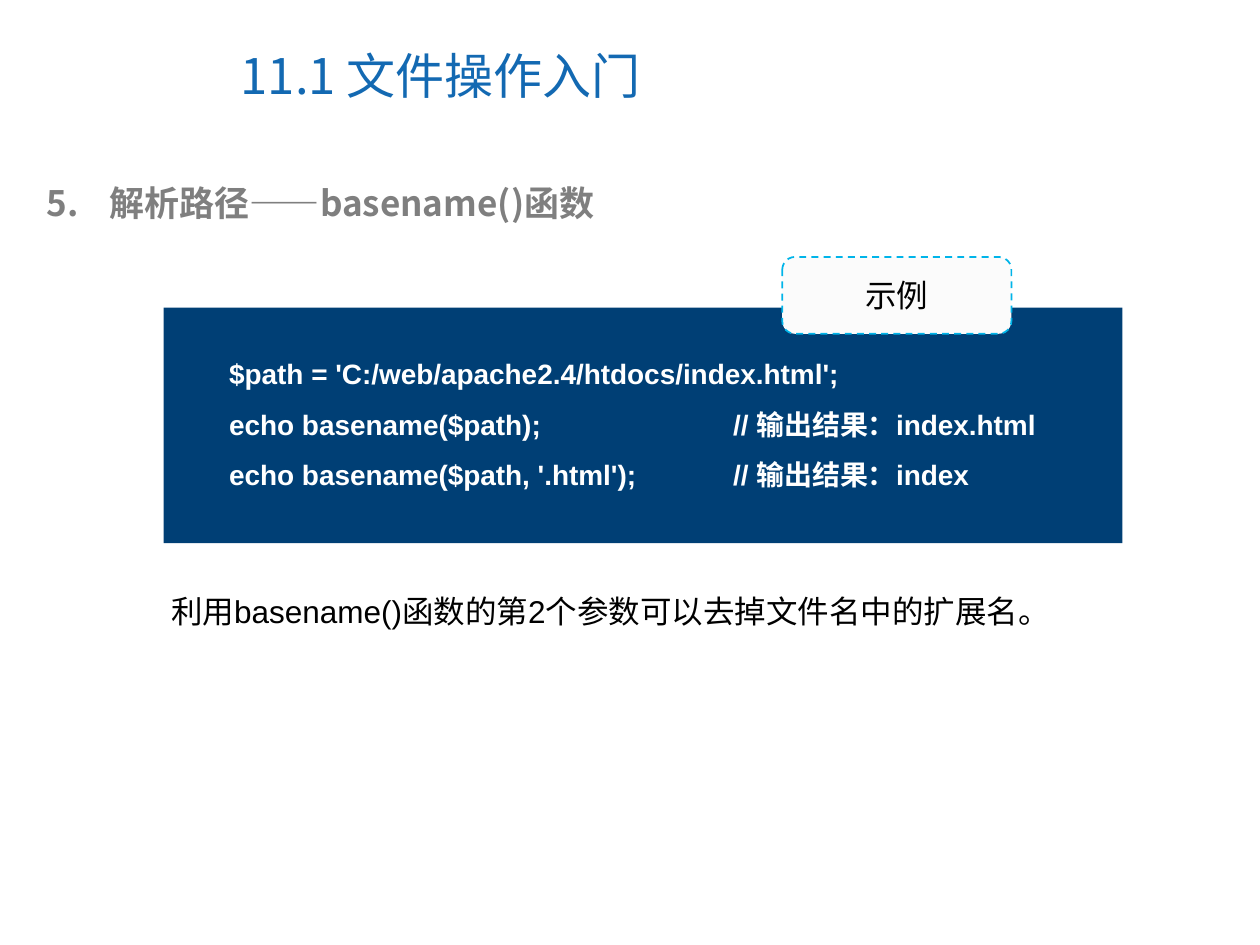
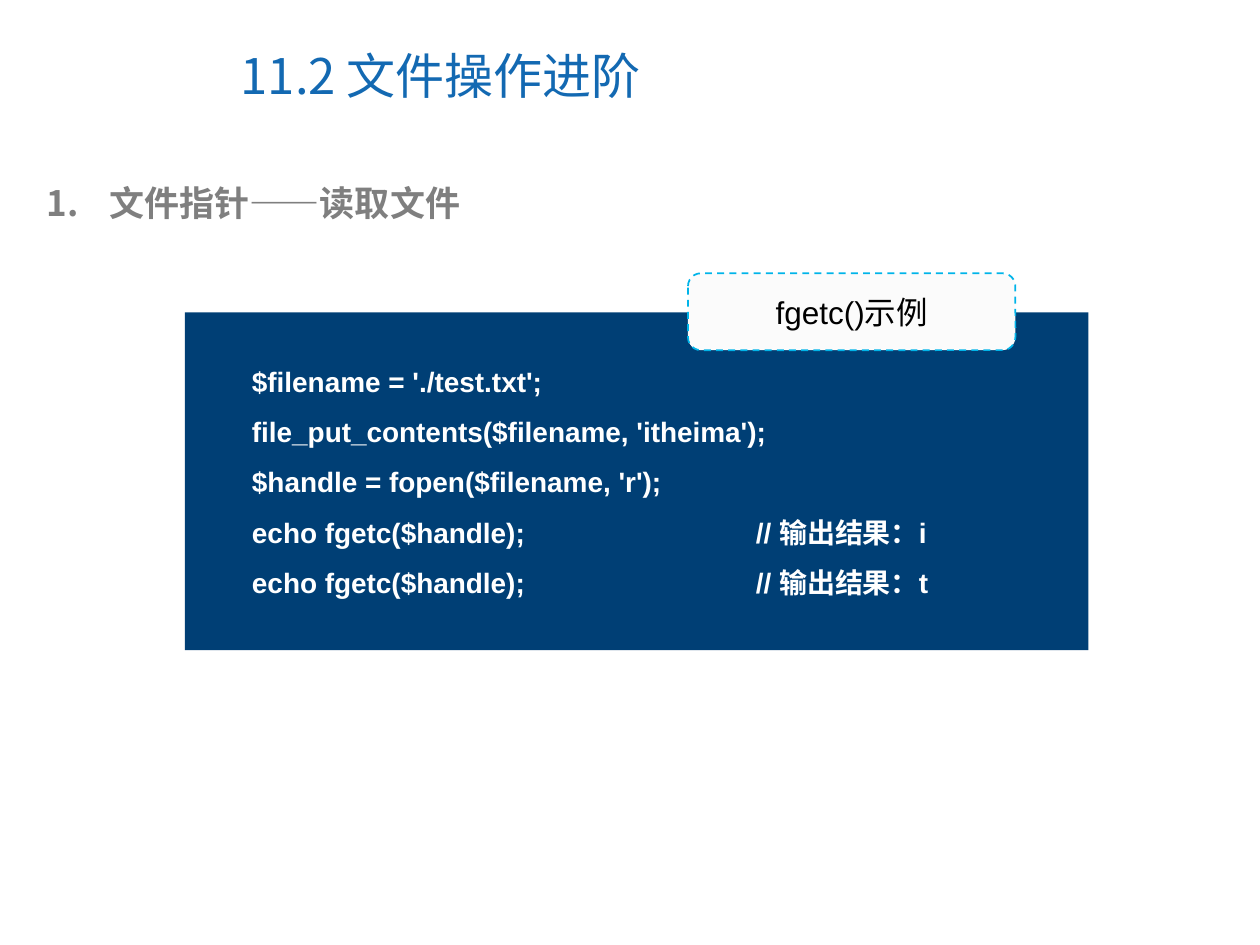
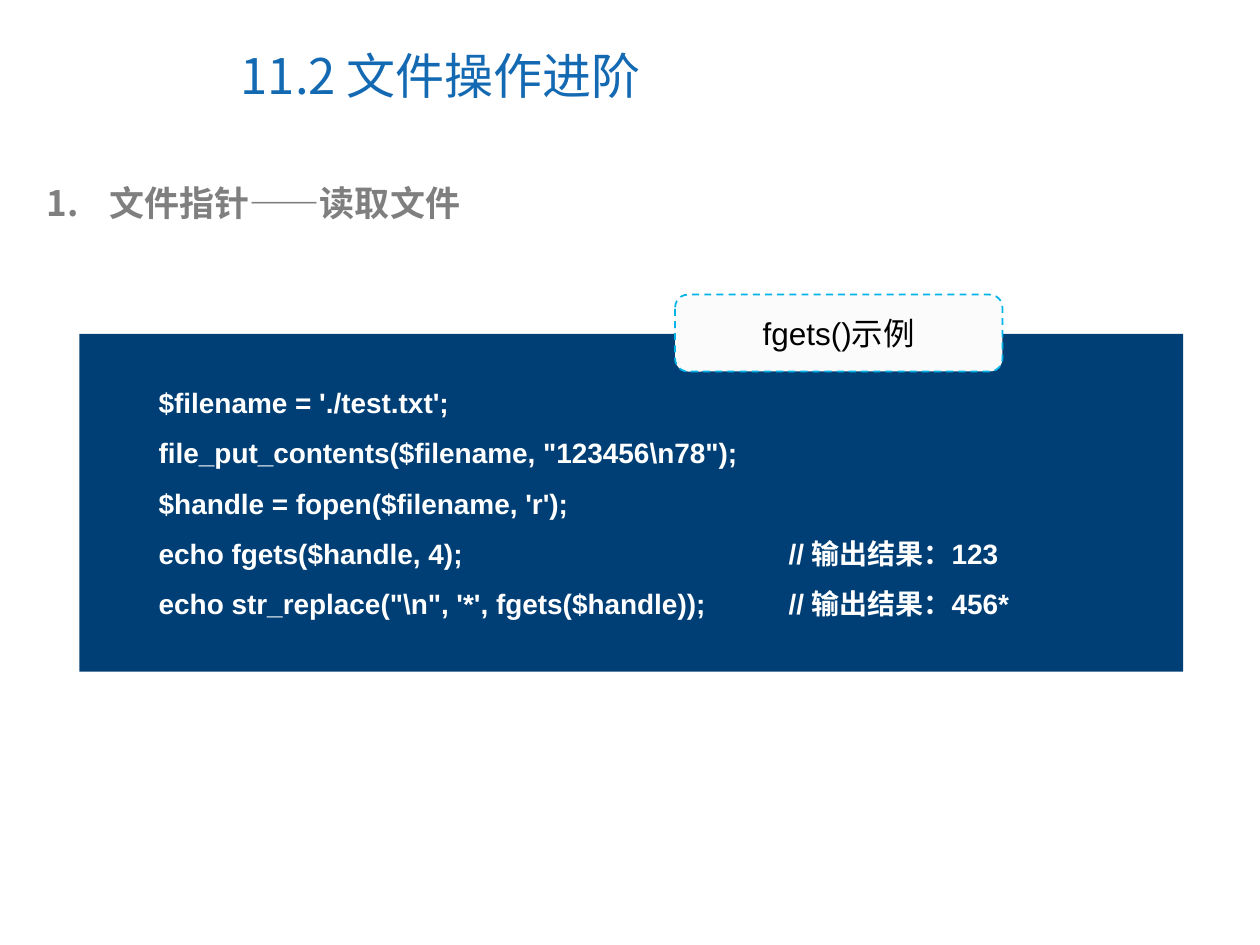
from dataclasses import dataclass

import pptx
import pptx.util
from lxml import etree
from pptx.dml.color import RGBColor
from pptx.enum.dml import MSO_LINE
from pptx.enum.shapes import MSO_SHAPE
from pptx.enum.text import MSO_ANCHOR, PP_ALIGN
from pptx.oxml.ns import qn

Cm = pptx.util.Cm


@dataclass(frozen=True)
class Theme:
    latin: str = "Arial"
    cjk: str = "Noto Sans CJK SC"
    title: str = "1369B2"
    heading: str = "7F7F7F"
    panel: str = "003F75"
    code: str = "FFFFFF"
    body: str = "000000"
    label: str = "FBFBFB"
    label_line: str = "00B4E9"
    title_size: int = 28
    heading_size: int = 20
    body_size: int = 18
    code_size: int = 16


THEME = Theme()


def style(p, font, size, color, bold=False):
    p.font.name = font
    p.font.size = pptx.util.Pt(size)
    p.font.bold = bold
    p.font.color.rgb = RGBColor.from_string(color)
    props = p._p.pPr.find(qn("a:defRPr"))
    etree.SubElement(props, qn("a:ea"), typeface=THEME.cjk)


def add_text_box(shapes, x, y, w, h):
    tf = shapes.add_textbox(Cm(x), Cm(y), Cm(w), Cm(h)).text_frame
    tf.word_wrap = True
    return tf


def add_box(shapes, kind, x, y, w, h, color):
    sp = shapes.add_shape(kind, Cm(x), Cm(y), Cm(w), Cm(h))
    sp.shadow.inherit = False
    sp.fill.solid()
    sp.fill.fore_color.rgb = RGBColor.from_string(color)
    sp.line.fill.background()
    return sp


def add_titled_slide(prs, title):
    s = prs.slides.add_slide(prs.slide_layouts[5])
    sp = s.shapes.title
    sp.left, sp.top, sp.width, sp.height = Cm(4.6), Cm(0.43), Cm(13.11), Cm(2.16)
    tf = sp.text_frame
    tf.text = title
    tf.vertical_anchor = MSO_ANCHOR.MIDDLE
    p = tf.paragraphs[0]
    p.alignment = PP_ALIGN.LEFT
    style(p, THEME.cjk, THEME.title_size, THEME.title)
    return s


def add_heading(s, number, text):
    p = add_text_box(s.shapes, 0.69, 3.53, 23.42, 1.12).paragraphs[0]
    p.text = text
    props = p._p.get_or_add_pPr()
    indent = Cm(1.27)
    props.set("marL", str(indent))
    props.set("indent", str(-indent))
    color = etree.SubElement(props, qn("a:buClr"))
    etree.SubElement(color, qn("a:srgbClr"), val=THEME.heading)
    etree.SubElement(props, qn("a:buFont"), typeface=THEME.cjk)
    etree.SubElement(props, qn("a:buAutoNum"), type="arabicPeriod", startAt=str(number))
    style(p, THEME.cjk, THEME.heading_size, THEME.heading, bold=True)


def add_code_panel(s, x, y, w, h, inset_x, inset_y, comment_tab, lines):
    shapes = s.shapes.add_group_shape().shapes
    add_box(shapes, MSO_SHAPE.RECTANGLE, x, y, w, h, THEME.panel)
    text_height = 0.25 + 1.02 * len(lines)
    tf = add_text_box(shapes, x + inset_x, y + inset_y, w - inset_x, text_height)
    for i, (code, result) in enumerate(lines):
        p = tf.add_paragraph() if i else tf.paragraphs[0]
        p.text = f"{code}\t// 输出结果：{result}" if result else code
        p.line_spacing = 1.5
        tabs = etree.SubElement(p._p.get_or_add_pPr(), qn("a:tabLst"))
        etree.SubElement(tabs, qn("a:tab"), pos=str(Cm(comment_tab)), algn="l")
        style(p, THEME.latin, THEME.code_size, THEME.code, bold=True)


def add_label(s, x, y, w, text):
    sp = add_box(s.shapes, MSO_SHAPE.ROUNDED_RECTANGLE, x, y, w, 1.55, THEME.label)
    sp.line.color.rgb = RGBColor.from_string(THEME.label_line)
    sp.line.width = pptx.util.Pt(1)
    sp.line.dash_style = MSO_LINE.DASH
    tf = sp.text_frame
    tf.text = text
    tf.word_wrap = True
    tf.vertical_anchor = MSO_ANCHOR.MIDDLE
    p = tf.paragraphs[0]
    p.alignment = PP_ALIGN.CENTER
    style(p, THEME.latin, THEME.body_size, THEME.body)


def add_note(s, text):
    p = add_text_box(s.shapes, 3.2, 11.81, 20.27, 1.02).paragraphs[0]
    p.text = text
    style(p, THEME.latin, THEME.body_size, THEME.body)


def add_basename_slide(prs):
    s = add_titled_slide(prs, "11.1 文件操作入门")
    add_heading(s, 5, "解析路径——basename()函数")
    add_code_panel(s, 3.3, 6.2, 19.33, 4.75, 1.07, 0.53, 10.16, [
        ("$path = 'C:/web/apache2.4/htdocs/index.html';", None),
        ("echo basename($path);", "index.html"),
        ("echo basename($path, '.html');", "index"),
    ])
    add_note(s, "利用basename()函数的第2个参数可以去掉文件名中的扩展名。")
    add_label(s, 15.77, 5.18, 4.62, "示例")


def add_reading_slide(prs, panel, label, content, calls):
    s = add_titled_slide(prs, "11.2 文件操作进阶")
    add_heading(s, 1, "文件指针——读取文件")
    add_code_panel(s, *panel, [
        ("$filename = './test.txt';", None),
        (f"file_put_contents($filename, {content});", None),
        ("$handle = fopen($filename, 'r');", None),
        *calls,
    ])
    add_label(s, *label)


def main():
    prs = pptx.Presentation()
    prs.slide_width, prs.slide_height = Cm(25.4), Cm(19.05)
    add_basename_slide(prs)
    add_reading_slide(
        prs,
        (3.73, 6.3, 18.21, 6.81, 1.1, 0.58, 10.16),
        (13.87, 5.51, 6.6, "fgetc()示例"),
        "'itheima'",
        [("echo fgetc($handle);", letter) for letter in "it"],
    )
    add_reading_slide(
        prs,
        (1.6, 6.73, 22.25, 6.81, 1.35, 0.58, 12.7),
        (13.61, 5.94, 6.6, "fgets()示例"),
        r'"123456\n78"',
        [
            ("echo fgets($handle, 4);", "123"),
            (r"""echo str_replace("\n", '*', fgets($handle));""", "456*"),
        ],
    )
    prs.save("out.pptx")


if __name__ == "__main__":
    main()
